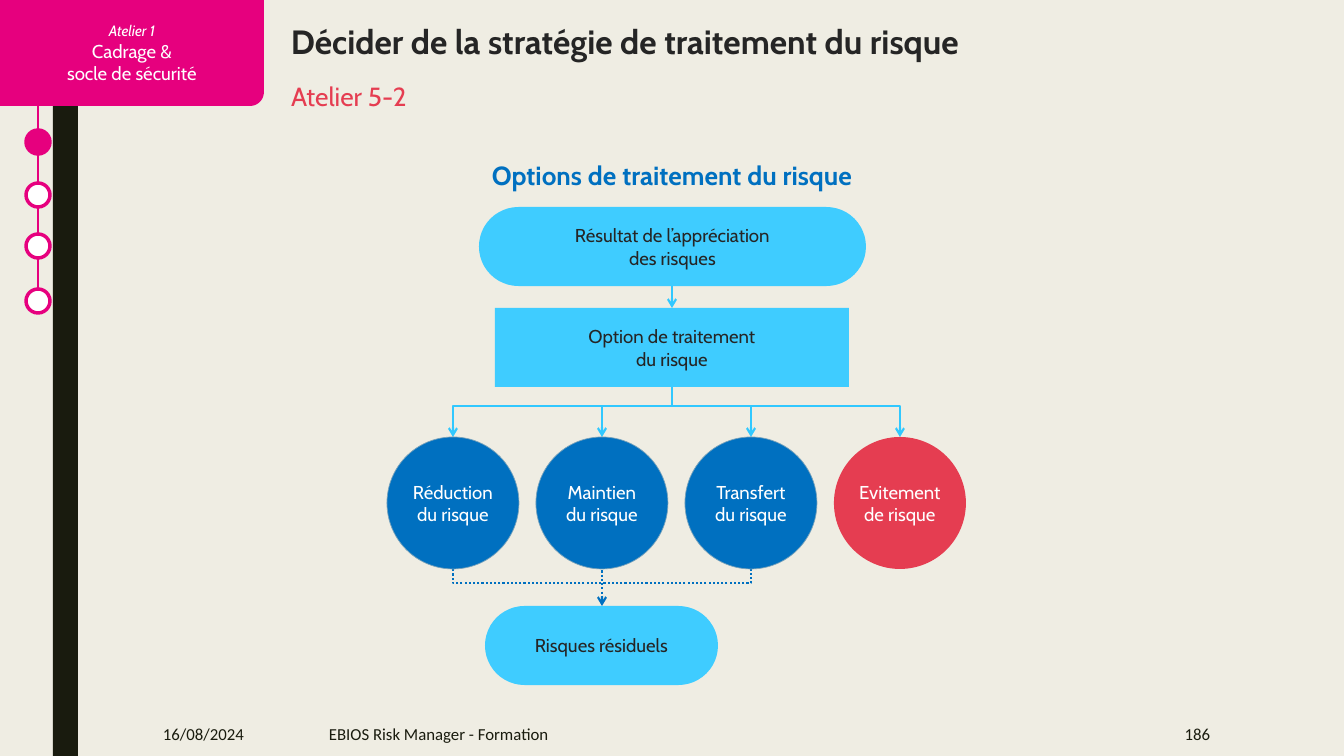
import math
from dataclasses import dataclass

import pptx
import pptx.util
import pptx.dml.color
import pptx.enum.dml
import pptx.enum.shapes
import pptx.enum.text
import pptx.oxml.ns
from lxml import etree

SCALE = 914400 / 100.8
KIND = pptx.enum.shapes.MSO_SHAPE
ALIGN = pptx.enum.text.PP_ALIGN
ANCHOR = pptx.enum.text.MSO_ANCHOR


def emu(px):
    return pptx.util.Emu(round(px * SCALE))


def rgb(code):
    return pptx.dml.color.RGBColor.from_string(code)


@dataclass(frozen=True)
class Theme:
    back: str = "EFEDE3"
    dark: str = "191B0E"
    ink: str = "252525"
    white: str = "FFFFFF"
    pink: str = "E6007E"
    blue: str = "0070C0"
    rim: str = "77A2BB"
    sky: str = "3FCCFF"
    wire: str = "31C8FF"
    red: str = "E53D51"
    font: str = "Cabin"
    plain: str = "Calibri"
    title: float = 24
    head: float = 18.7
    body: float = 13.3
    foot: float = 12
    small: float = 10.7


class Page:
    def __init__(self, slide, theme):
        self.slide = slide
        self.theme = theme
        slide.background.fill.solid()
        slide.background.fill.fore_color.rgb = rgb(theme.back)

    def paint(self, shape, fill=None, line=None, width=1.5):
        shape.shadow.inherit = False
        if fill:
            shape.fill.solid()
            shape.fill.fore_color.rgb = rgb(fill)
        else:
            shape.fill.background()
        if line:
            self.stroke(shape, line, width)
        else:
            shape.line.fill.background()

    def stroke(self, shape, color, width=1.5, dots=False, ends=()):
        """Style a line; ends may hold headEnd and tailEnd, in that order."""
        shape.line.color.rgb = rgb(color)
        shape.line.width = pptx.util.Pt(width)
        if dots:
            shape.line.dash_style = pptx.enum.dml.MSO_LINE.ROUND_DOT
        edge = shape.element.spPr.find(pptx.oxml.ns.qn("a:ln"))
        for end in ends:
            etree.SubElement(edge, pptx.oxml.ns.qn(f"a:{end}"), type="arrow")

    def letter(self, shape, words, size, color, align=ALIGN.CENTER, bold=False,
               font=None, inset=True, anchor=ANCHOR.MIDDLE):
        """Put styled words into a shape."""
        frame = shape.text_frame
        frame.word_wrap = True
        frame.vertical_anchor = anchor
        if not inset:
            frame.margin_left = frame.margin_right = 0
            frame.margin_top = frame.margin_bottom = 0
        frame.text = words
        for para in frame.paragraphs:
            para.alignment = align
            para.font.name = font or self.theme.font
            para.font.size = pptx.util.Pt(size)
            para.font.bold = bold
            para.font.color.rgb = rgb(color)

    def shape(self, kind, box, fill, line=None, width=1.5):
        item = self.slide.shapes.add_shape(kind, *map(emu, box))
        self.paint(item, fill, line, width)
        return item

    def label(self, box, words, size, color, **look):
        item = self.slide.shapes.add_textbox(*map(emu, box))
        self.letter(item, words, size, color, **look)

    def line(self, start, end, color, width=1.5, **look):
        item = self.slide.shapes.add_connector(
            pptx.enum.shapes.MSO_CONNECTOR.STRAIGHT, *map(emu, start + end))
        self.stroke(item, color, width, **look)
        etree.SubElement(item.element.spPr, pptx.oxml.ns.qn("a:effectLst"))

    def form(self, dots, close):
        dots = [(emu(x), emu(y)) for x, y in dots]
        pen = self.slide.shapes.build_freeform(*dots[0])
        pen.add_line_segments(dots[1:], close=close)
        return pen.convert_to_shape()

    def fork(self, left, right, bar, tip, color, **look):
        """Draw a bar with a leg down or up to tip at each end."""
        item = self.form([(right, tip), (right, bar), (left, bar), (left, tip)], False)
        self.paint(item)
        self.stroke(item, color, **look)

    def tab(self, wide, high, bend, words):
        """Draw the corner tab, its lower right corner rounded."""
        turns = [math.radians(step * 7.5) for step in range(13)]
        curve = [(wide - bend + bend * math.cos(a), high - bend + bend * math.sin(a))
                 for a in turns]
        item = self.form([(0, 0), (wide, 0)] + curve + [(0, high)], True)
        self.paint(item, self.theme.pink)
        self.letter(item, words, self.theme.body, self.theme.white)
        first = item.text_frame.paragraphs[0].font
        first.size = pptx.util.Pt(self.theme.small)
        first.italic = True


def side(page):
    look = page.theme
    page.shape(KIND.RECTANGLE, (53, 0, 25, 756), look.dark)
    page.line((38, 90), (38, 312), look.pink, 1.25)
    for index, mid in enumerate((142, 195, 246, 301)):
        fill = look.white if index else look.pink
        page.shape(KIND.OVAL, (26, mid - 12, 24, 24), fill, look.pink, 2.5)
    page.tab(264, 106, 14, "Atelier 1\nCadrage &\nsocle de sécurité")


def chart(page):
    look = page.theme
    left, top, size, step = 387, 437, 132, 149
    mids = [left + size // 2 + step * i for i in range(4)]
    tail = ("tailEnd",)

    page.line((mids[1], 520), (mids[1], 606), look.blue, dots=True, ends=tail)
    page.fork(mids[0], mids[2], 583, 556, look.blue, dots=True)
    page.line((672, 222), (672, 308), look.wire, ends=tail)
    page.line((672, 367), (672, 406), look.wire)
    page.fork(mids[0], mids[3], 406, top, look.wire, ends=("headEnd", "tailEnd"))
    for mid in mids[1:3]:
        page.line((mid, 406), (mid, top), look.wire, ends=tail)

    page.label((439, 148, 466, 54), "Options de traitement du risque",
               look.head, look.blue, bold=True)
    steps = (
        (KIND.ROUNDED_RECTANGLE, (479, 207, 387, 79),
         "Résultat de l’appréciation\vdes risques"),
        (KIND.RECTANGLE, (495, 308, 354, 79), "Option de traitement\vdu risque"),
        (KIND.ROUNDED_RECTANGLE, (485, 606, 233, 79), "Risques résiduels"),
    )
    for kind, box, words in steps:
        item = page.shape(kind, box, look.sky)
        if kind == KIND.ROUNDED_RECTANGLE:
            item.adjustments[0] = 0.5
        page.letter(item, words, look.body, look.ink)

    options = (
        ("Réduction\ndu risque", look.blue, look.rim),
        ("Maintien\ndu risque", look.blue, look.rim),
        ("Transfert\ndu risque", look.blue, look.rim),
        ("Evitement\nde risque", look.red, None),
    )
    for mid, (words, fill, rim) in zip(mids, options):
        item = page.shape(KIND.OVAL, (mid - size // 2, top, size, size), fill, rim, 0.5)
        page.letter(item, words, look.body, look.white, inset=False)


def texts(page):
    look = page.theme
    top = dict(align=ALIGN.LEFT, inset=False, anchor=ANCHOR.TOP)
    page.label((291, 21, 1005, 40), "Décider de la stratégie de traitement du risque",
               look.title, look.ink, bold=True, **top)
    page.label((291, 80, 947, 31), "Atelier 5-2", look.head, look.red, **top)
    feet = (
        (153, 133, "16/08/2024", ALIGN.LEFT),
        (319, 692, "EBIOS Risk Manager - Formation", ALIGN.LEFT),
        (1044, 176, "186", ALIGN.RIGHT),
    )
    for left, wide, words, align in feet:
        page.label((left, 712, wide, 44), words, look.foot, look.dark,
                   align=align, font=look.plain)


def main():
    deck = pptx.Presentation()
    deck.slide_width, deck.slide_height = emu(1344), emu(756)
    page = Page(deck.slides.add_slide(deck.slide_layouts[6]), Theme())
    side(page)
    chart(page)
    texts(page)
    deck.save("out.pptx")


if __name__ == "__main__":
    main()
